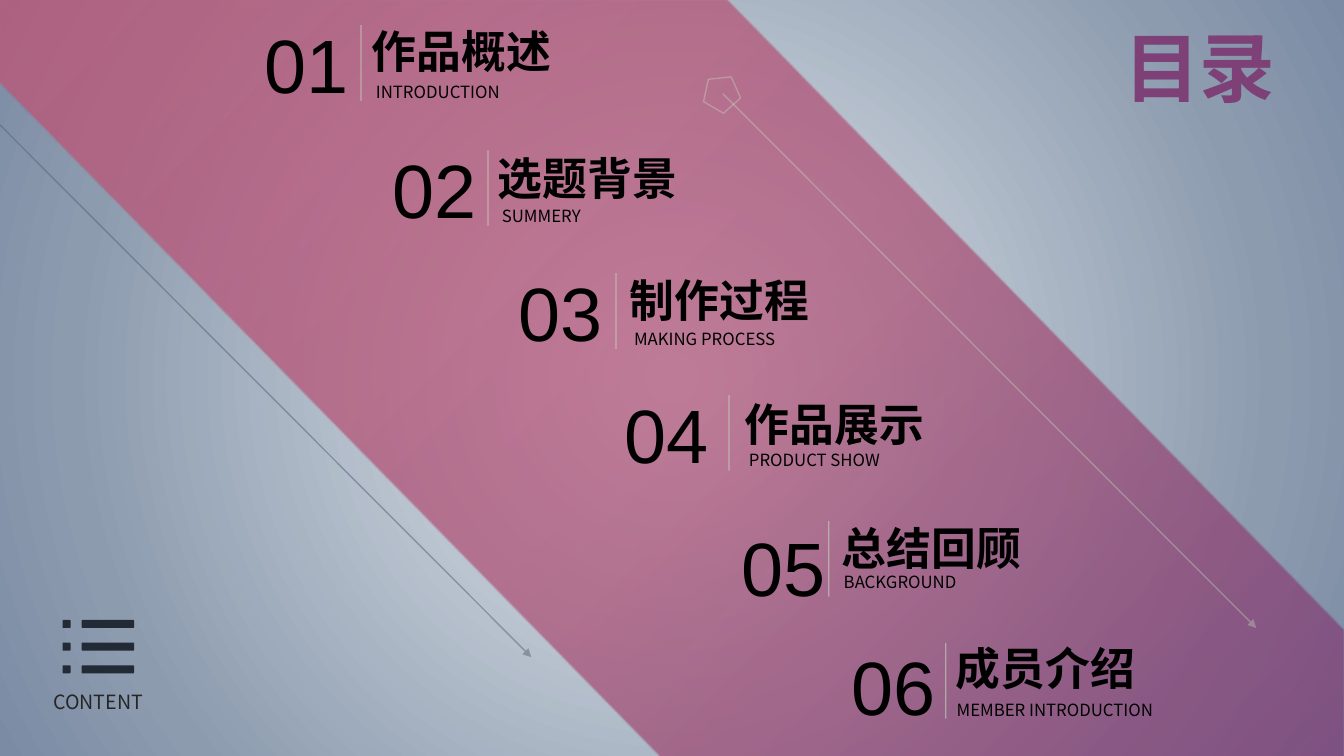
import pptx
import pptx.util
import pptx.oxml
import pptx.oxml.ns
import pptx.dml.color
import pptx.enum.shapes
import pptx.enum.text

Inches = pptx.util.Inches
qn = pptx.oxml.ns.qn
SHAPES = pptx.enum.shapes.MSO_SHAPE
ALIGN = pptx.enum.text.PP_ALIGN
ANCHOR = pptx.enum.text.MSO_ANCHOR

COLORS = {
    "purple": "7D4178", "rose": "AB4A70", "pink": "C54F71",
    "mist": "E4E9EF", "steel": "8C9BAE", "slate": "7B8BA4",
    "pale": "CEEACA", "arrow": "536275", "icon": "222A35",
    "label": "262626", "black": "000000",
}
BACKGROUND_STOPS = [(0, "mist", 100), (78, "steel", 100), (100, "slate", 100)]
BAND_STOPS = [(0, "purple", 77), (45, "rose", 68), (100, "pink", 68)]
BAND_POINTS = [(0, 0), (7.21, 0), (13.33, 6.25), (13.33, 7.5), (6.55, 7.5), (0, 0.82)]

# Each entry: number, title, subtitle, then their left/top pairs and the divider's.
ENTRIES = [
    ("01", "作品概述", "INTRODUCTION", (2.29, 0.12), (3.59, 0.18), (3.63, 0.76), (3.58, 0.25)),
    ("02", "选题背景", "SUMMERY", (3.56, 1.36), (4.84, 1.44), (4.88, 1.99), (4.84, 1.49)),
    ("03", "制作过程", "MAKING PROCESS", (4.81, 2.58), (6.15, 2.65), (6.19, 3.21), (6.11, 2.71)),
    ("04", "作品展示", "PRODUCT SHOW", (5.86, 3.79), (7.29, 3.88), (7.33, 4.41), (7.23, 3.92)),
    ("05", "总结回顾", "BACKGROUND", (7.02, 5.11), (8.25, 5.11), (8.27, 5.62), (8.22, 5.17)),
    ("06", "成员介绍", "MEMBER INTRODUCTION", (8.11, 6.29), (9.38, 6.3), (9.39, 6.89), (9.38, 6.38)),
]

STYLES = {
    "heading": {"size": 54, "name": "Arial", "bold": True, "color": "purple",
                "align": ALIGN.CENTER, "anchor": ANCHOR.MIDDLE, "wrap": True},
    "number": {"size": 54, "name": "Arial", "bold": False, "color": "black",
               "align": ALIGN.CENTER, "anchor": ANCHOR.MIDDLE, "wrap": True},
    "title": {"size": 32, "name": "Arial", "bold": True, "color": "black",
              "align": ALIGN.LEFT, "anchor": ANCHOR.MIDDLE, "wrap": True},
    "subtitle": {"size": 12, "name": "Noto Sans CJK SC", "bold": False, "color": "black",
                 "align": ALIGN.LEFT, "anchor": ANCHOR.TOP, "wrap": False},
    "label": {"size": 14, "name": "Noto Sans CJK SC", "bold": False, "color": "label",
              "align": ALIGN.CENTER, "anchor": ANCHOR.TOP, "wrap": True},
}
ICON_COLUMNS = [(0.62, 0.08), (0.81, 0.52)]
ICON_TOP, ICON_STEP, ICON_HEIGHT, ICON_ROWS = 6.15, 0.225, 0.08, 3
DIVIDER_HEIGHT = 0.75


def rgb(name):
    return pptx.dml.color.RGBColor.from_string(COLORS[name])


def set_radial_gradient(fill, holder, stops, focus):
    fill.gradient()
    stop_xml = "".join(
        f'<a:gs pos="{position * 1000}"><a:srgbClr val="{COLORS[color]}">'
        f'<a:alpha val="{opacity * 1000}"/></a:srgbClr></a:gs>'
        for position, color, opacity in stops)
    edges = " ".join(f'{side}="{value * 1000}"' for side, value in zip("ltrb", focus))
    gradient = pptx.oxml.parse_xml(
        f'<a:gradFill {pptx.oxml.ns.nsdecls("a")} rotWithShape="1"><a:gsLst>{stop_xml}</a:gsLst>'
        f'<a:path path="circle"><a:fillToRect {edges}/></a:path></a:gradFill>')
    previous = next(holder.iter(qn("a:gradFill")))
    previous.getparent().replace(previous, gradient)


def add_text(shapes, text, box, style_name):
    style = STYLES[style_name]
    textbox = shapes.add_textbox(*map(Inches, box))
    frame = textbox.text_frame
    frame.word_wrap = style["wrap"]
    frame.vertical_anchor = style["anchor"]
    frame.auto_size = pptx.enum.text.MSO_AUTO_SIZE.SHAPE_TO_FIT_TEXT
    paragraph = frame.paragraphs[0]
    paragraph.alignment = style["align"]
    run = paragraph.add_run()
    run.text = text
    formats = {"size": pptx.util.Pt(style["size"]), "name": style["name"], "bold": style["bold"]}
    for attribute, value in formats.items():
        setattr(run.font, attribute, value)
    run.font.color.rgb = rgb(style["color"])


def style_line(shape, color, opacity):
    shape.line.color.rgb = rgb(color)
    shape.line.width = pptx.util.Pt(1)
    color_element = next(shape.line._get_or_add_ln().iter(qn("a:srgbClr")))
    pptx.oxml.ns.qn
    color_element.append(color_element.makeelement(qn("a:alpha"), {"val": str(opacity * 1000)}))


def add_line(shapes, start, end, color, opacity, arrow=False):
    connector = shapes.add_connector(
        pptx.enum.shapes.MSO_CONNECTOR.STRAIGHT, *map(Inches, start + end))
    style_line(connector, color, opacity)
    if arrow:
        line = connector.line._get_or_add_ln()
        line.append(line.makeelement(qn("a:tailEnd"), {"type": "triangle"}))
    properties = connector._element.spPr
    properties.append(properties.makeelement(qn("a:effectLst"), {}))


def add_band(shapes):
    builder = shapes.build_freeform(*map(Inches, BAND_POINTS[0]), scale=1.0)
    builder.add_line_segments([tuple(map(Inches, point)) for point in BAND_POINTS[1:]])
    band = builder.convert_to_shape()
    band.shadow.inherit = False
    band.line.fill.background()
    set_radial_gradient(band.fill, band._element.spPr, BAND_STOPS, (100, 100, 0, 0))


def add_pentagon_arrow(shapes):
    add_line(shapes, (7.17, 0.93), (12.46, 6.23), "pale", 32, arrow=True)
    pentagon = shapes.add_shape(
        SHAPES.REGULAR_PENTAGON, *map(Inches, (6.98, 0.74, 0.37, 0.35)))
    pentagon.rotation = 30
    pentagon.shadow.inherit = False
    pentagon.fill.background()
    style_line(pentagon, "pale", 32)


def add_entry(shapes, entry):
    number, title, subtitle, number_at, title_at, subtitle_at, divider_at = entry
    add_text(shapes, title, title_at + (2.1, 0.64), "title")
    add_text(shapes, subtitle, subtitle_at + (0.4 + 0.1 * len(subtitle), 0.3), "subtitle")
    add_text(shapes, number, number_at + (1.5, 1.01), "number")
    left, top = divider_at
    add_line(shapes, divider_at, (left, top + DIVIDER_HEIGHT), "pale", 49)


def add_list_icon(shapes):
    for row in range(ICON_ROWS):
        for left, width in ICON_COLUMNS:
            bar = shapes.add_shape(
                SHAPES.ROUNDED_RECTANGLE, Inches(left), Inches(ICON_TOP + row * ICON_STEP),
                Inches(width), Inches(ICON_HEIGHT))
            bar.adjustments[0] = 0.12
            bar.shadow.inherit = False
            bar.fill.solid()
            bar.fill.fore_color.rgb = rgb("icon")
            bar.line.fill.background()


def main():
    presentation = pptx.Presentation()
    presentation.slide_width, presentation.slide_height = Inches(13.33), Inches(7.5)
    slide = presentation.slides.add_slide(presentation.slide_layouts[6])
    shapes = slide.shapes
    set_radial_gradient(slide.background.fill, slide._element, BACKGROUND_STOPS, (50, 50, 50, 50))
    add_band(shapes)
    add_text(shapes, "目录", (10.63, 0.15, 2.54, 1.01), "heading")
    add_text(shapes, "CONTENT", (0.33, 6.8, 1.29, 0.34), "label")
    add_pentagon_arrow(shapes.add_group_shape().shapes)
    for entry in ENTRIES:
        add_entry(shapes.add_group_shape().shapes, entry)
    add_line(shapes, (0, 1.24), (5.27, 6.52), "arrow", 50, arrow=True)
    add_list_icon(shapes.add_group_shape().shapes)
    presentation.save("out.pptx")


if __name__ == "__main__":
    main()
